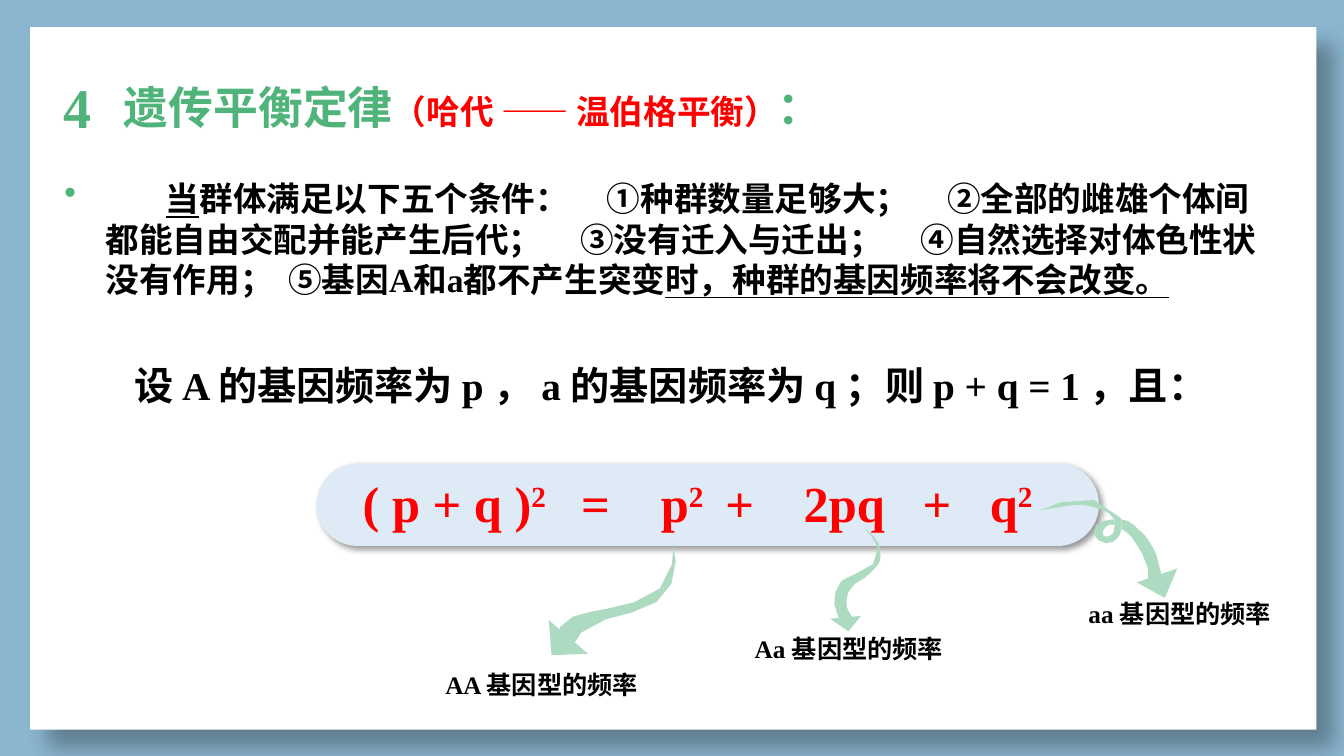
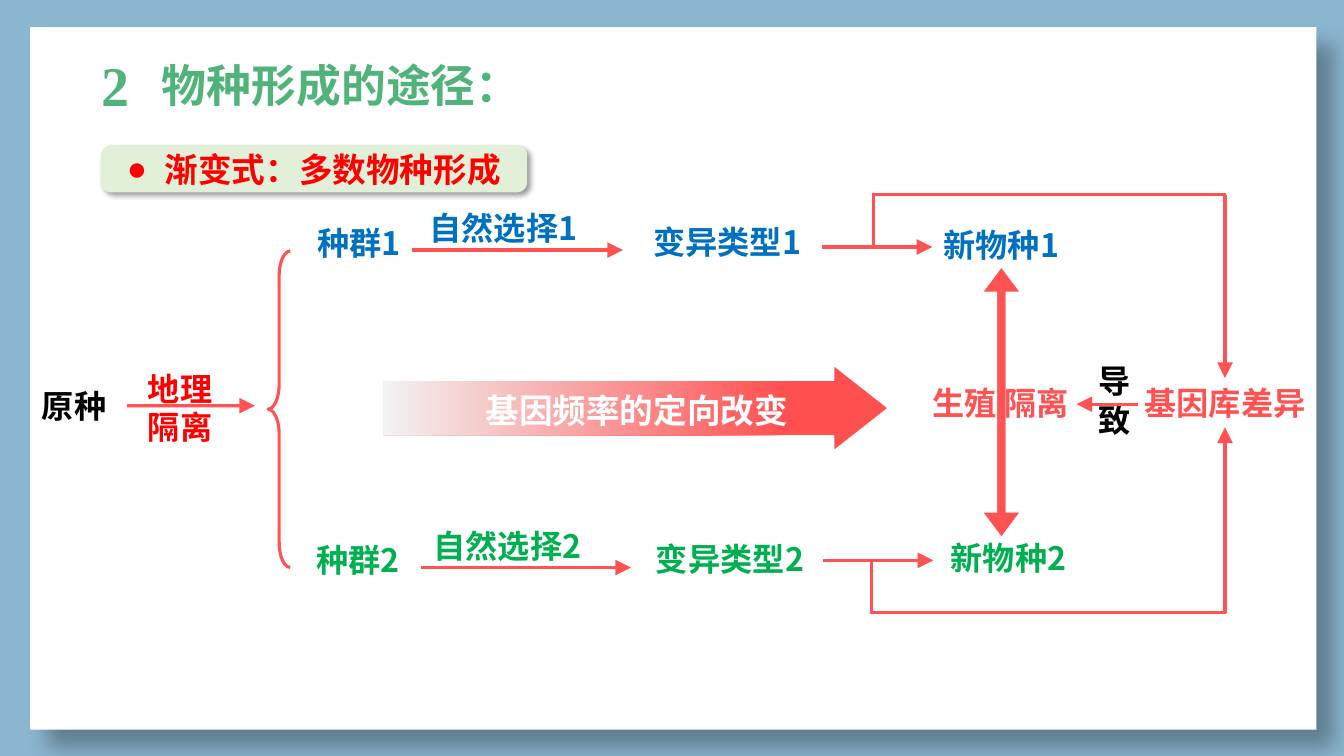
from lxml import etree
from pptx import Presentation
from pptx.dml.color import RGBColor
from pptx.enum.shapes import MSO_CONNECTOR, MSO_SHAPE
from pptx.enum.text import MSO_ANCHOR, MSO_AUTO_SIZE, PP_ALIGN
from pptx.oxml.ns import qn
from pptx.util import Pt

LEFT, MID = PP_ALIGN.LEFT, PP_ALIGN.CENTER
TOP = MSO_ANCHOR.TOP
NO_FIT = MSO_AUTO_SIZE.NONE
STRAIGHT = MSO_CONNECTOR.STRAIGHT
RECT, ROUND = MSO_SHAPE.RECTANGLE, MSO_SHAPE.ROUNDED_RECTANGLE
ARROW, BRACE = MSO_SHAPE.RIGHT_ARROW, MSO_SHAPE.LEFT_BRACE

SKY = RGBColor(0x8B, 0xB6, 0xD0)
WHITE = RGBColor(0xFF, 0xFF, 0xFF)
BLACK = RGBColor(0, 0, 0)
GREEN = RGBColor(0x50, 0xB3, 0x7A)
MINT = RGBColor(0xAD, 0xDB, 0xC1)
ICE = RGBColor(0xDE, 0xEB, 0xF7)
LIME = RGBColor(0xE2, 0xF0, 0xD9)
RED = RGBColor(0xFF, 0, 0)
CORAL = RGBColor(0xFF, 0x52, 0x52)
ROSE = RGBColor(0xFF, 0x50, 0x50)
PALE = RGBColor(0xF2, 0xF2, 0xF2)
BLUE = RGBColor(0, 0x70, 0xC0)
LEAF = RGBColor(0, 0xB0, 0x50)

SANS, SERIF = "Noto Sans CJK SC", "Times New Roman"

# Curved arrows in points: a pair is a straight step, six numbers a curve.
AA_BIG = [
    [(433, 435), (425, 437, 405, 438, 400, 448), (399, 452, 400, 451, 403, 454),
     (405, 457, 406, 460, 409, 462), (408, 462, 415, 453, 415, 452),
     (431, 438, 453, 441, 469, 430), (484, 420, 485, 399, 480, 385),
     (482, 390, 480, 398, 480, 403), (479, 425, 451, 432, 433, 435)],
    [(420, 467), (394, 468), (392, 443)],
]
AA_MIX = [
    [(601, 415), (595, 422, 594, 432, 599, 441), (600, 444, 600, 443, 603, 443),
     (605, 443, 608, 443, 609, 441), (607, 438, 606, 437, 605, 434),
     (604, 430, 605, 426, 606, 423), (608, 420, 611, 416, 614, 415),
     (618, 413, 621, 410, 624, 407), (628, 403, 629, 401, 629, 397),
     (629, 391, 628, 387, 623, 382), (621, 380, 620, 379, 618, 378),
     (622, 382, 626, 387, 627, 392), (630, 407, 610, 408, 601, 415)],
    [(615, 440), (606, 451), (593, 442)],
]
AA_LOW = [
    [(801, 371), (801, 378), (796, 375), (796, 371), (793, 366, 788, 364, 784, 363),
     (778, 361, 772, 360, 765, 361), (759, 362, 752, 363, 746, 364),
     (743, 364, 740, 366, 737, 367), (752, 358, 788, 348, 799, 369)],
    [(827, 400), (827, 401, 830, 411, 830, 412), (827, 413, 824, 415, 820, 417),
     (823, 406, 816, 395, 810, 386), (809, 384, 806, 381, 803, 379),
     (801, 378), (801, 371), (806, 371, 810, 375, 814, 379),
     (817, 381, 819, 384, 821, 387), (824, 392, 826, 395, 827, 400)],
    [(801, 378), (801, 382, 798, 385, 795, 387), (791, 390, 783, 387, 781, 381),
     (780, 374, 790, 371, 795, 371), (796, 371), (796, 375),
     (793, 374, 790, 375, 788, 379), (786, 383, 791, 385, 794, 382),
     (796, 380, 796, 379, 796, 375)],
    [(841, 406), (832, 427), (812, 416)],
]


def sub(node, tag, **attrs):
    """Append a DrawingML child element."""
    return etree.SubElement(node, qn("a:" + tag),
                            {key: str(val) for key, val in attrs.items()})


def style(run, size, color, face):
    font = run.font
    font.size, font.bold = Pt(size), True
    font.color.rgb = color
    font.name = face
    sub(run._r.get_or_add_rPr(), "ea", typeface=SANS)


def fill_text(para, parts, size, color, face):
    """Add runs; a part is a string or (string, overrides)."""
    for part in parts:
        words, more = (part, {}) if isinstance(part, str) else part
        run = para.add_run()
        run.text = words
        style(run, more.get("size", size), more.get("color", color),
              more.get("face", face))
        if more.get("line"):
            run.font.underline = True
        for key in ("baseline", "spc"):
            if key in more:
                run._r.get_or_add_rPr().set(key, str(more[key]))


def text(slide, box, parts, size, color, face=SERIF, align=LEFT):
    shape = slide.shapes.add_textbox(*map(Pt, box))
    frame = shape.text_frame
    frame.word_wrap = True
    para = frame.paragraphs[0]
    para.alignment = align
    fill_text(para, parts, size, color, face)
    return shape


def layout(shape, left=0, first=0, dot=None, tabs=()):
    """Set indents, a bullet and tab stops of the first paragraph."""
    props = shape.text_frame.paragraphs[0]._p.get_or_add_pPr()
    for key, val in (("marL", left), ("indent", first)):
        if val:
            props.set(key, str(Pt(val)))
    if dot:
        sub(props, "buFont", typeface="Arial")
        sub(props, "buChar", char=dot)
    if tabs:
        stops = sub(props, "tabLst")
        for stop in tabs:
            sub(stops, "tab", pos=Pt(stop), algn="l")


def block(slide, kind, box, color=None, adjust=()):
    shape = slide.shapes.add_shape(kind, *map(Pt, box))
    shape.shadow.inherit = False
    shape.line.fill.background()
    if color is None:
        shape.fill.background()
    else:
        shape.fill.solid()
        shape.fill.fore_color.rgb = color
    for spot, val in enumerate(adjust):
        shape.adjustments[spot] = val
    return shape


def shade(shape, alpha, blur, dist):
    """Cast a soft black shadow to the lower right."""
    effects = shape._element.spPr.find(qn("a:effectLst"))
    cast = sub(effects, "outerShdw", blurRad=Pt(blur), dist=Pt(dist),
               dir=45 * 60000, algn="tl", rotWithShape=0)
    sub(sub(cast, "srgbClr", val="000000"), "alpha", val=alpha * 1000)


def line(slide, start, end, head=False):
    link = slide.shapes.add_connector(STRAIGHT, *map(Pt, start + end))
    link.line.color.rgb = CORAL
    link.line.width = Pt(2.25)
    if head:
        sub(link.line._get_or_add_ln(), "tailEnd", type="triangle",
            w="lg", len="lg")
    sub(link._element.spPr, "effectLst")
    return link


def trace(path, steps=3):
    """Turn straight and curved steps into points."""
    spots = [path[0]]
    for step in path[1:]:
        if len(step) == 2:
            spots.append(step)
            continue
        ends = [spots[-1], step[:2], step[2:4], step[4:]]
        for tick in range(1, steps + 1):
            t = tick / steps
            mix = ((1 - t) ** 3, 3 * t * (1 - t) ** 2, 3 * t * t * (1 - t), t ** 3)
            spots.append(tuple(sum(m * e[axis] for m, e in zip(mix, ends))
                               for axis in (0, 1)))
    return [(Pt(x), Pt(y)) for x, y in spots]


def swirl(slide, paths):
    for path in paths:
        spots = trace(path)
        pen = slide.shapes.build_freeform(*spots[0])
        pen.add_line_segments(spots[1:], close=True)
        shape = pen.convert_to_shape()
        shape.shadow.inherit = False
        shape.fill.solid()
        shape.fill.fore_color.rgb = MINT
        shape.line.fill.background()


def new_slide(deck, number, x, y, width, parts):
    """Add a slide with the white panel, its number and its title."""
    slide = deck.slides.add_slide(deck.slide_layouts[5])
    panel = block(slide, RECT, (21.6, 19.4, 918.7, 501.8), WHITE)
    shade(panel, 30, 15, 18)
    slide.shapes._spTree.insert(2, panel._element)
    text(slide, (x, y, 43, 55.4), [number], 40, GREEN)
    title = slide.shapes.title
    title.left, title.top = Pt(x + 43), Pt(y + 5)
    title.width, title.height = Pt(width), Pt(46)
    frame = title.text_frame
    frame.auto_size, frame.word_wrap = NO_FIT, True
    frame.vertical_anchor = TOP
    para = frame.paragraphs[0]
    para.alignment = LEFT
    fill_text(para, parts, 32, GREEN, SERIF)
    return slide


def law(deck):
    slide = new_slide(deck, "4.", 38.2, 48.6, 616, [
        "遗传平衡定律",
        ("（哈代 —— 温伯格平衡）", {"size": 24, "color": RED, "face": SANS}), "："])
    pill = block(slide, ROUND, (226, 331, 559, 59), ICE, [0.5])
    shade(pill, 40, 4, 3)
    gap = ("　", {"spc": 300})
    terms = text(slide, (68.4, 123.8, 854.6, 94.3), [
        ("当", {"line": True}), "群体满足以下五个条件：", gap,
        "①种群数量足够大；", gap, "②全部的雌雄个体间都能自由交配并能产生后代；",
        gap, "③没有迁入与迁出；", gap, "④自然选择对体色性状没有作用；",
        (" ", {"spc": 500}), "⑤基因A和a都不产生突变",
        ("时，种群的基因频率将不会改变。", {"line": True})], 24, BLACK)
    layout(terms, first=43)
    given = text(slide, (38.2, 237.6, 866, 52), [
        "设 A 的基因频率为 p ， a 的基因频率为 q ；则 p + q = 1 ，且："], 28, BLACK)
    given.text_frame.paragraphs[0].line_spacing = 1.5
    layout(given, first=50.5)
    swirl(slide, AA_LOW)
    swirl(slide, AA_BIG)
    swirl(slide, AA_MIX)
    for gene, x, y in (("aa", 770.4, 424), ("AA", 311, 474.5), ("Aa", 532, 448.6)):
        text(slide, (x, y, 168, 29), [gene + " 基因型的频率"], 18, BLACK)
    square = ("2", {"baseline": 30000})
    sums = text(slide, (252, 333.4, 625, 51), [
        "( p + q )", square, "\t=\tp", square, "\t+\t2pq\t+\tq", square], 36, RED)
    layout(sums, tabs=[156, 213, 259, 315, 400, 448])


def paths(deck):
    slide = new_slide(deck, "2.", 65.5, 32.4, 312, ["物种形成的途径："])
    wide = block(slide, ARROW, (273.6, 262, 360, 59), ROSE, [0.653, 0.637])
    wide.fill.gradient()
    wide.fill.gradient_angle = 180
    for stop, spot, color in zip(wide.fill.gradient_stops, (0.2, 1), (ROSE, PALE)):
        stop.position = spot
        stop.color.rgb = color
    plate = block(slide, ROUND, (72, 103.7, 304.6, 33.8), LIME, [0.223])
    shade(plate, 40, 4, 3)
    mode = text(slide, (83.5, 103, 286.6, 36), ["渐变式：多数物种形成"], 24, RED, SANS)
    layout(mode, 27, -27, "●")
    text(slide, (339.8, 275, 258, 36), ["基因频率的定向改变"], 24, WHITE, SANS)

    made = {}
    for words, x, y, width, color, align in (
            ("种群1", 219.6, 156.2, 81, BLUE, LEFT),
            ("自然选择1", 285.8, 145.4, 147.6, BLUE, MID),
            ("变异类型1", 459.4, 155.5, 134.6, BLUE, LEFT),
            ("新物种1", 652.3, 157.7, 126, BLUE, MID),
            ("种群2", 218.9, 382.3, 113.8, LEAF, LEFT),
            ("自然选择2", 288.7, 372.2, 147.6, LEAF, MID),
            ("变异类型2", 461.5, 381.6, 144, LEAF, LEFT),
            ("新物种2", 657.4, 380.9, 126, LEAF, MID),
            ("原种", 15.1, 272.2, 75.6, BLACK, MID),
            ("地理隔离", 98.6, 260, 66.2, RED, LEFT),
            ("生殖 隔离", 650.2, 270, 128.9, CORAL, MID),
            ("基因库差异", 802, 270, 146, CORAL, MID),
            ("导致", 776.2, 254.9, 40.3, BLACK, MID)):
        height = 63.4 if words in ("地理隔离", "导致") else 35.3
        made[words] = text(slide, (x, y, width, height), [words], 23, color,
                           SANS, align)

    brace = block(slide, BRACE, (191.5, 179.3, 15.8, 226), adjust=[1.131, 0.5])
    brace.line.color.rgb = CORAL
    brace.line.width = Pt(2.25)
    for y, turn in ((282.2, 90), (267.1, 270)):
        half = block(slide, ARROW, (627.1, y, 176.4, 25.2), CORAL, [0.227, 0.667])
        half.rotation = turn

    root = line(slide, (90.7, 289.8), (182.2, 289.8), True)
    root.begin_connect(made["原种"], 3)
    for left, right, y in ((294.5, 445, 178.6), (301, 450.7, 405.4),
                           (587.5, 666, 176.4), (588.2, 666.7, 400.3),
                           (812.9, 769, 288.7)):
        line(slide, (left, y), (right, y), True)

    pool = made["基因库差异"]
    for x, y, far, side, edge in ((624.2, 176.4, 139, 0, 270),
                                  (622.8, 400.3, 437.8, 2, 305.3)):
        line(slide, (x, y), (x, far))
        line(slide, (x - 1, far), (876, far))
        line(slide, (875, far), (875, edge), True).end_connect(pool, side)


def main():
    deck = Presentation()
    deck.slide_width, deck.slide_height = Pt(960), Pt(540)
    back = deck.slide_master.background.fill
    back.solid()
    back.fore_color.rgb = SKY
    law(deck)
    paths(deck)
    deck.save("out.pptx")


if __name__ == "__main__":
    main()
